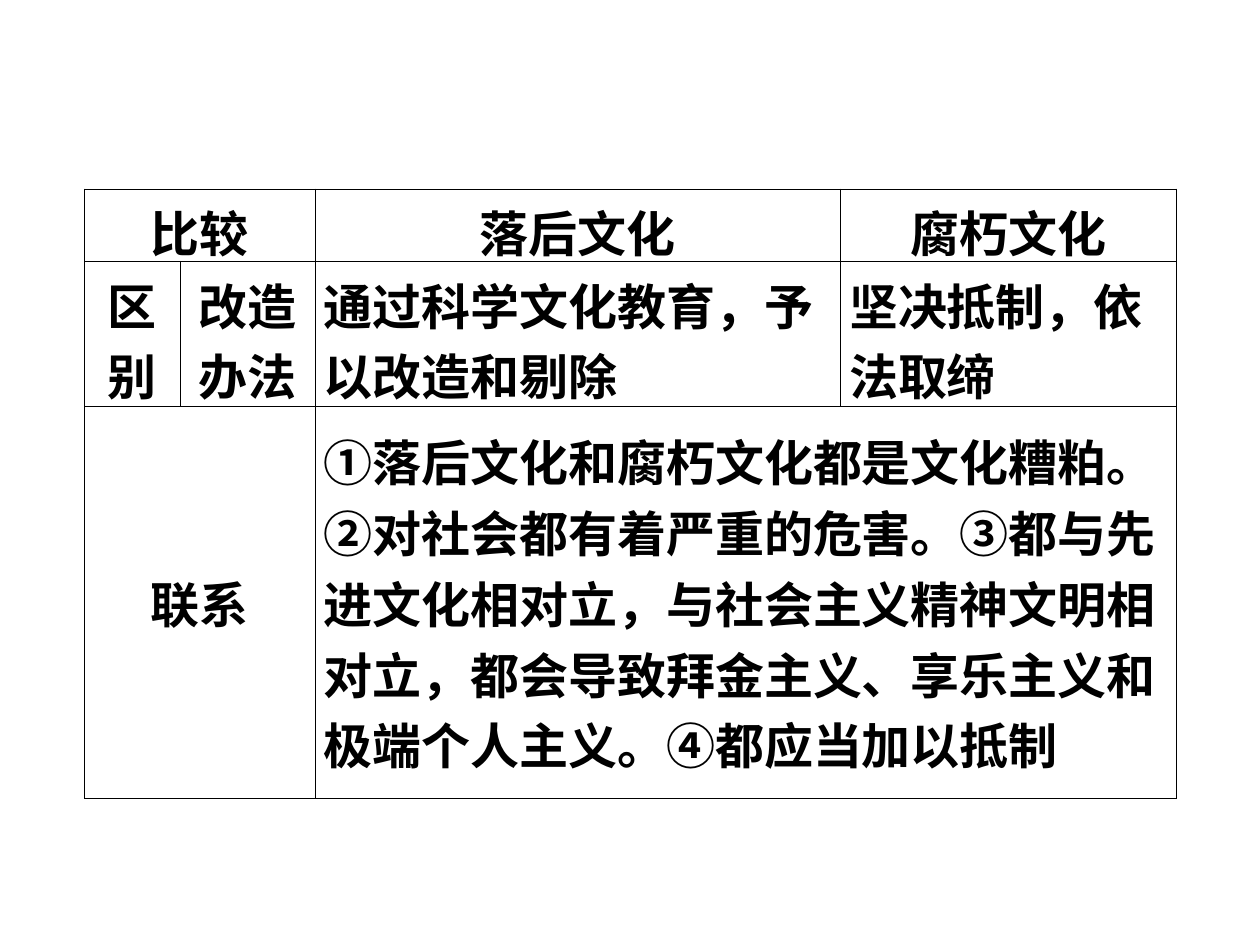
import pptx
import pptx.dml.color
import pptx.enum.text
import pptx.oxml
import pptx.oxml.ns
import pptx.util

Inches = pptx.util.Inches
Pt = pptx.util.Pt
BLACK = pptx.dml.color.RGBColor(0, 0, 0)
CENTER = pptx.enum.text.PP_ALIGN.CENTER
LEFT = pptx.enum.text.PP_ALIGN.LEFT
MIDDLE = pptx.enum.text.MSO_ANCHOR.MIDDLE

COLS = [0.76, 1.07, 4.17, 2.67]
ROWS = [0.57, 1.15, 3.11]
# The first two rows are tight: a negative inset keeps them from growing.
BOTTOMS = [-0.04, -0.04, 0.05]
# row, column, columns spanned, alignment, paragraphs
CELLS = [
    (0, 0, 2, CENTER, ["比较"]),
    (0, 2, 1, CENTER, ["落后文化"]),
    (0, 3, 1, CENTER, ["腐朽文化"]),
    (1, 0, 1, CENTER, ["区别"]),
    (1, 1, 1, CENTER, ["改造办法"]),
    (1, 2, 1, LEFT, ["通过科学文化教育，予以改造和剔除"]),
    (1, 3, 1, LEFT, ["坚决抵制，依法取缔"]),
    (2, 0, 2, CENTER, ["联系"]),
    (2, 2, 2, LEFT, [
        "①落后文化和腐朽文化都是文化糟粕。",
        "②对社会都有着严重的危害。③都与先进文化相对立，与社会主义精神文明相对立，"
        "都会导致拜金主义、享乐主义和极端个人主义。④都应当加以抵制",
    ]),
]
FONT = {"name": "Times New Roman", "size": Pt(28), "bold": True}
FRAME = {
    "margin_left": Inches(0.07), "margin_right": Inches(0.07),
    "margin_top": Inches(0.05), "vertical_anchor": MIDDLE,
}


def apply(item, values):
    for key, value in values.items():
        setattr(item, key, value)


def border(cell):
    props = cell._tc.get_or_add_tcPr()
    for at, side in enumerate(("lnL", "lnR", "lnT", "lnB")):
        props.insert(at, pptx.oxml.parse_xml(
            f'<a:{side} {pptx.oxml.ns.nsdecls("a")} w="{Pt(0.45)}">'
            f'<a:solidFill><a:srgbClr val="{BLACK}"/></a:solidFill></a:{side}>'))


def write(cell, align, lines):
    frame = cell.text_frame
    frame.text = "\n".join(lines)
    for para in frame.paragraphs:
        para.alignment = align
        for run in para.runs:
            apply(run.font, FONT)
            run.font.color.rgb = BLACK


deck = pptx.Presentation()
deck.slide_width, deck.slide_height = Inches(10), Inches(7.5)
slide = deck.slides.add_slide(deck.slide_layouts[6])
table = slide.shapes.add_table(
    len(ROWS), len(COLS), Inches(0.67), Inches(1.5),
    Inches(sum(COLS)), Inches(sum(ROWS))).table
table.first_row = table.horz_banding = False
for col, width in zip(table.columns, COLS):
    col.width = Inches(width)
for row, height, bottom in zip(table.rows, ROWS, BOTTOMS):
    row.height = Inches(height)
    for cell in row.cells:
        cell.fill.background()
        border(cell)
        apply(cell, FRAME)
        cell.margin_bottom = Inches(bottom)
        # Empty merged cells must not force a taller row.
        cell.text_frame.paragraphs[0].font.size = FONT["size"]
for row, col, span, align, lines in CELLS:
    cell = table.cell(row, col)
    if span > 1:
        cell.merge(table.cell(row, col + span - 1))
    write(cell, align, lines)

deck.save("out.pptx")
